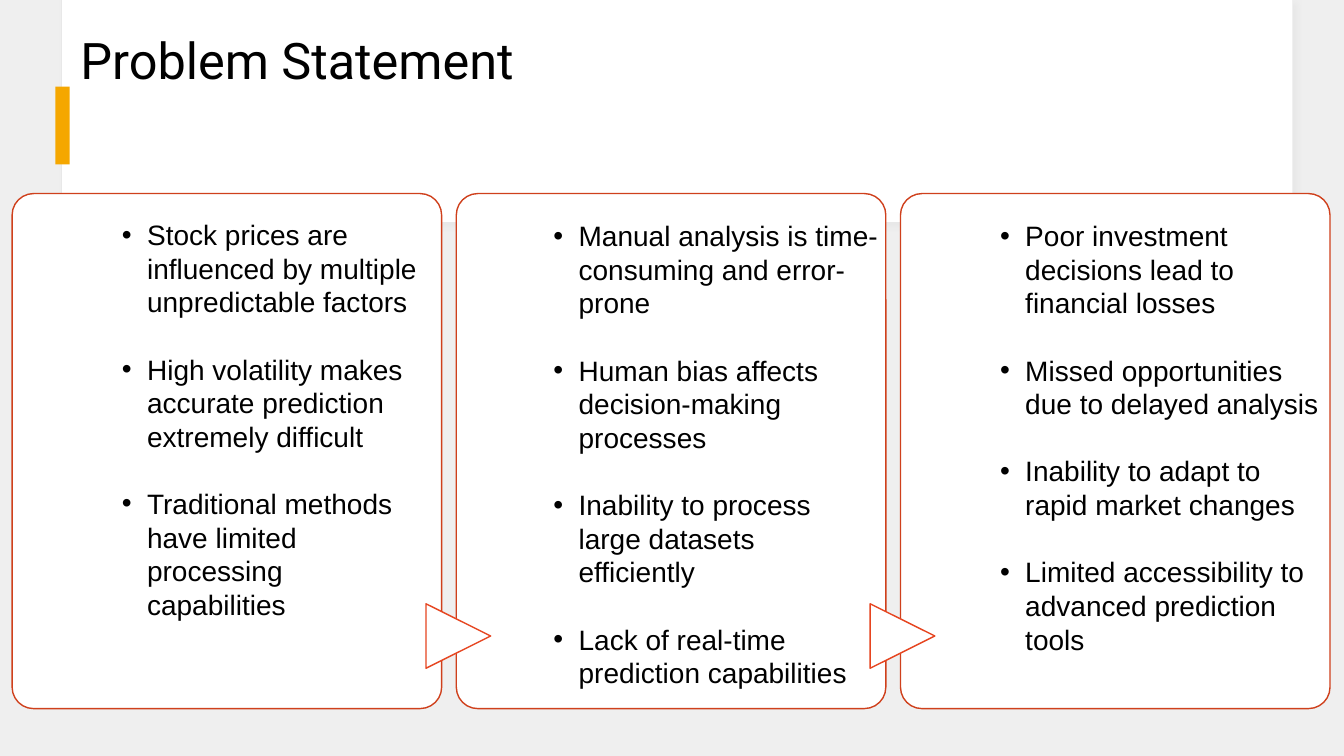
from dataclasses import dataclass

from lxml.etree import SubElement
from pptx import Presentation
from pptx.dml.color import RGBColor
from pptx.enum.shapes import MSO_SHAPE as Shape
from pptx.enum.text import MSO_ANCHOR as Anchor
from pptx.oxml.ns import qn
from pptx.util import Inches, Pt


@dataclass(frozen=True)
class Theme:
    background: str = "EFEFEF"
    surface: str = "FFFFFF"
    edge: str = "E8E8E8"
    shade: str = "D8D8D8"
    accent: str = "F5A700"
    card_line: str = "CF401C"
    arrow_line: str = "E64520"
    ink: str = "000000"
    title_font: str = "Roboto"
    body_font: str = "Arial"
    title_size: int = 36
    body_size: int = 20
    line_height: int = 24


THEME = Theme()
WIDTH, HEIGHT = Inches(13.33), Inches(7.5)
CARD_LEFT, CARD_TOP, CARD_WIDTH, CARD_HEIGHT = 0.9, 25.6, 31.96, 68.13
CARD_PITCH = 33.05
ARROW_WIDTH, ARROW_HEIGHT, ARROW_MIDDLE = 5.63, 8.53, 84.13

COLUMNS = [
    ((8.33, 28.13, 23.78, 50.67), [
        "Stock prices are influenced by multiple unpredictable factors",
        "High volatility makes accurate prediction extremely difficult",
        "Traditional methods have limited processing capabilities",
    ]),
    ((40.44, 28.27, 25.66, 59.73), [
        "Manual analysis is time-consuming and error-prone",
        "Human bias affects decision-making processes",
        "Inability to process large datasets efficiently",
        "Lack of real-time prediction capabilities",
    ]),
    ((73.67, 28.27, 25.28, 55.2), [
        "Poor investment decisions lead to financial losses",
        "Missed opportunities due to delayed analysis",
        "Inability to adapt to rapid market changes",
        "Limited accessibility to advanced prediction tools",
    ]),
]


def place(left, top, width, height):
    shares = ((left, WIDTH), (top, HEIGHT), (width, WIDTH), (height, HEIGHT))
    return [int(share * full / 100) for share, full in shares]


def add_panel(page, kind, area, fill, line=None, weight=1):
    panel = page.shapes.add_shape(kind, *place(*area))
    panel.shadow.inherit = False
    panel.fill.solid()
    panel.fill.fore_color.rgb = RGBColor.from_string(fill)
    if line:
        panel.line.color.rgb = RGBColor.from_string(line)
        panel.line.width = Pt(weight)
    else:
        panel.line.fill.background()
    return panel


def add_soft_shadow(panel):
    effects = panel._element.spPr.find(qn("a:effectLst"))
    shadow = SubElement(effects, qn("a:outerShdw"), blurRad=str(Pt(4)),
                        dist=str(Pt(3)), dir="2700000", algn="tl", rotWithShape="0")
    color = SubElement(shadow, qn("a:srgbClr"), val=THEME.shade)
    SubElement(color, qn("a:alpha"), val="30000")


def add_arrow(page, center):
    width = ARROW_HEIGHT * HEIGHT / WIDTH
    height = ARROW_WIDTH * WIDTH / HEIGHT / 1.17
    area = (center - width / 2, ARROW_MIDDLE - height / 2, width, height)
    arrow = add_panel(page, Shape.FLOWCHART_EXTRACT, area, THEME.surface, THEME.arrow_line)
    arrow.rotation = 90


def style_text(para, font, size):
    for span in para.runs:
        span.font.name = font
        span.font.size = Pt(size)
        span.font.color.rgb = RGBColor.from_string(THEME.ink)


def add_text_box(page, area):
    box = page.shapes.add_textbox(*place(*area))
    box.text_frame.word_wrap = True
    return box.text_frame


def add_title(page, text):
    frame = add_text_box(page, (5.25, 3.6, 89.35, 9.47))
    frame.vertical_anchor = Anchor.MIDDLE
    frame.text = text
    para = frame.paragraphs[0]
    para.line_spacing = 0.9
    style_text(para, THEME.title_font, THEME.title_size)


def set_bullet(para):
    props = para._p.get_or_add_pPr()
    props.set("marL", str(Inches(0.25)))
    props.set("indent", str(-Inches(0.25)))
    color = SubElement(props, qn("a:buClr"))
    SubElement(color, qn("a:srgbClr"), val=THEME.ink)
    SubElement(props, qn("a:buFont"), typeface=THEME.body_font)
    SubElement(props, qn("a:buChar"), char="•")


def add_bullets(page, area, items):
    frame = add_text_box(page, area)
    frame.text = "\n".join(items)
    for index, para in enumerate(frame.paragraphs):
        para.line_spacing = Pt(THEME.line_height)
        para.space_before = Pt(THEME.line_height if index else 0)
        set_bullet(para)
        style_text(para, THEME.body_font, THEME.body_size)


def add_header(page):
    backing = add_panel(page, Shape.RECTANGLE, (4.58, 0, 91.6, 29.47),
                        THEME.surface, THEME.edge, 0.75)
    add_soft_shadow(backing)
    add_panel(page, Shape.RECTANGLE, (4.65, 0, 91.52, 29.33), THEME.surface)
    add_panel(page, Shape.RECTANGLE, (4.13, 11.47, 1.05, 10.27), THEME.accent)
    add_title(page, "Problem Statement")


def add_cards(page):
    for index in range(len(COLUMNS)):
        left = CARD_LEFT + index * CARD_PITCH
        card = add_panel(page, Shape.ROUNDED_RECTANGLE,
                         (left, CARD_TOP, CARD_WIDTH, CARD_HEIGHT),
                         THEME.surface, THEME.card_line)
        card.adjustments[0] = 0.05
        if index:
            add_arrow(page, left + 0.15)


def main():
    deck = Presentation()
    deck.slide_width, deck.slide_height = WIDTH, HEIGHT
    page = deck.slides.add_slide(deck.slide_layouts[6])
    page.background.fill.solid()
    page.background.fill.fore_color.rgb = RGBColor.from_string(THEME.background)
    add_header(page)
    add_cards(page)
    for area, items in COLUMNS:
        add_bullets(page, area, items)
    deck.save("out.pptx")


if __name__ == "__main__":
    main()
